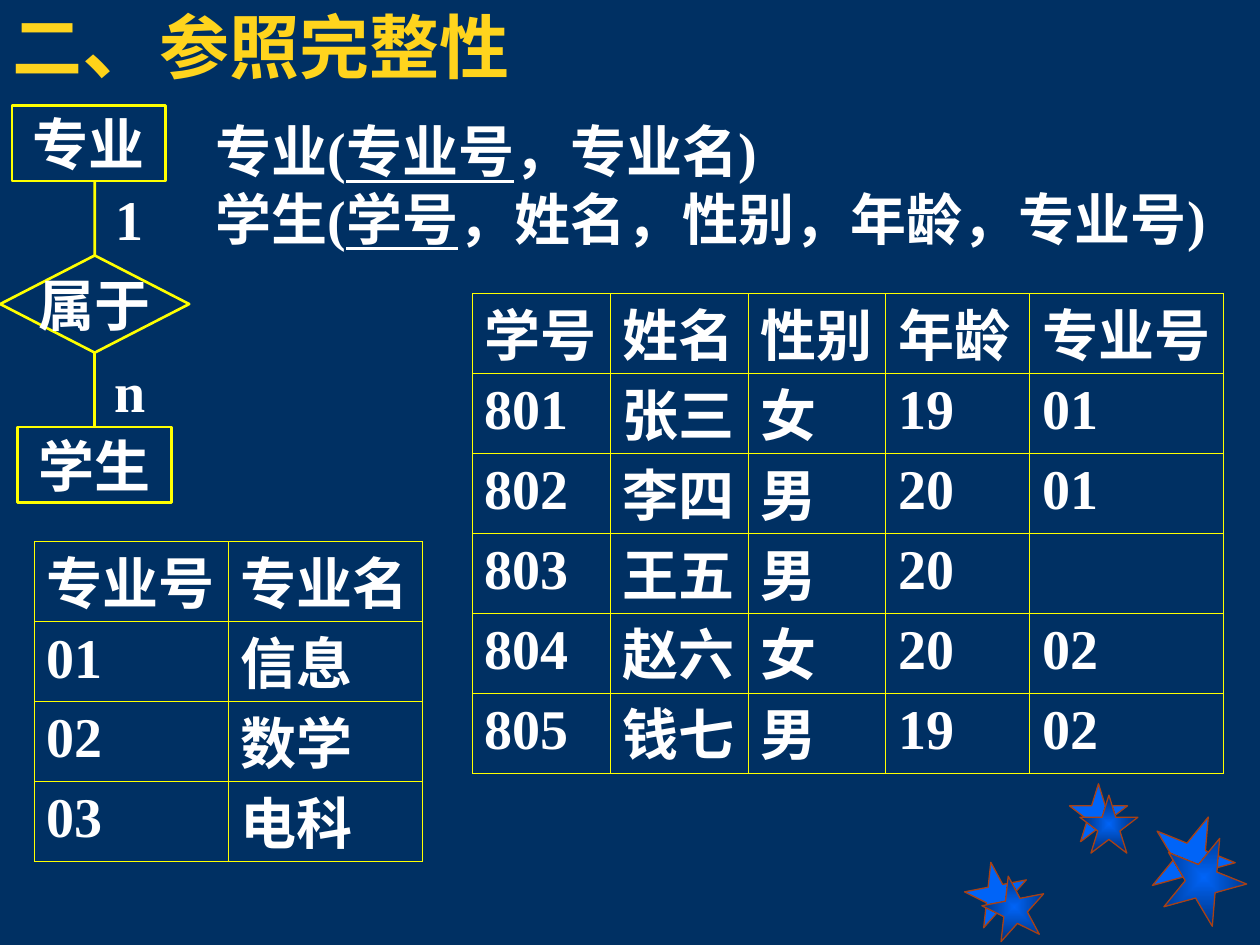
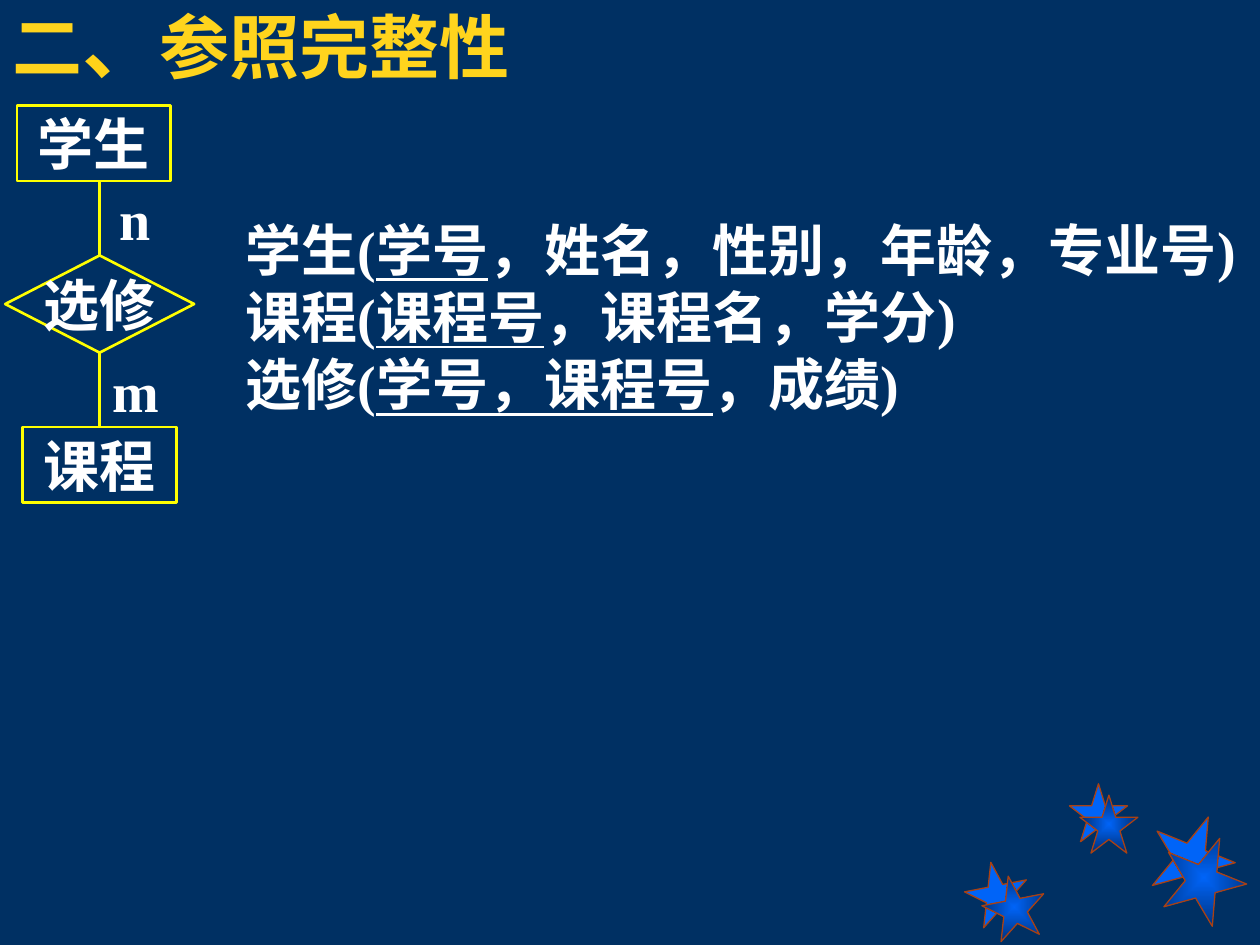
import pptx
import pptx.dml.color
import pptx.enum.shapes
import pptx.enum.text
import pptx.oxml
import pptx.oxml.ns
import pptx.util

Cm = pptx.util.Cm
Pt = pptx.util.Pt
SHAPES = pptx.enum.shapes.MSO_SHAPE
ALIGN = pptx.enum.text.PP_ALIGN
ANCHOR = pptx.enum.text.MSO_ANCHOR

COLORS = {
    "background": "003063",
    "title": "FFD41D",
    "title_mark": "FFD319",
    "text": "FFFFFF",
    "outline": "FFFF00",
    "star": "0064F8",
    "star_edge": "002E72",
    "star_line": "A94113",
}
LATIN_FONT = "Times New Roman"
ASIAN_FONT = "Noto Sans CJK SC"
LINE_PITCH = 38
NS = pptx.oxml.ns.nsdecls("a")

# left, top, size, rotation, has gradient
STARS = [
    (19.46, 17.37, 1.27, 349, False),
    (21.56, 15.8, 1.17, 0, False),
    (23.19, 16.41, 1.7, 22, False),
    (19.81, 17.65, 1.27, 349, True),
    (21.77, 16.03, 1.17, 0, True),
    (23.42, 16.84, 1.7, 22, True),
]

STUDENTS = [
    ["学号", "姓名", "性别", "年龄", "专业号"],
    ["801", "张三", "女", "19", "01"],
    ["802", "李四", "男", "20", "01"],
    ["803", "王五", "男", "20", ""],
    ["804", "赵六", "女", "20", "02"],
    ["805", "钱七", "男", "19", "02"],
]
MAJORS = [
    ["专业号", "专业名"],
    ["01", "信息"],
    ["02", "数学"],
    ["03", "电科"],
]


def rgb(name):
    return pptx.dml.color.RGBColor.from_string(COLORS[name])


def add_run(paragraph, text, size=32, color="text", underline=False):
    run = paragraph.add_run()
    run.text = text
    font = run.font
    font.name, font.size, font.bold = LATIN_FONT, Pt(size), True
    font.color.rgb = rgb(color)
    if underline:
        font.underline = True
    run._r.get_or_add_rPr().find(pptx.oxml.ns.qn("a:latin")).addnext(
        pptx.oxml.parse_xml(f'<a:ea {NS} typeface="{ASIAN_FONT}"/>'))


def write(frame, text, align=ALIGN.LEFT, pitch=None, **run_format):
    """Fill a text frame; parts between underscores are underlined."""
    for number, line in enumerate(text.split("\n")):
        paragraph = frame.add_paragraph() if number else frame.paragraphs[0]
        paragraph.alignment = align
        if pitch:
            paragraph.line_spacing = Pt(pitch)
        for index, part in enumerate(line.split("_")):
            if part:
                add_run(paragraph, part, underline=index % 2 == 1, **run_format)


class Deck:
    def __init__(self):
        self.presentation = pptx.Presentation()
        self.presentation.slide_width = Cm(25.4)
        self.presentation.slide_height = Cm(19.05)
        self.slide = None

    def start_slide(self):
        self.slide = self.presentation.slides.add_slide(
            self.presentation.slide_layouts[6])
        fill = self.slide.background.fill
        fill.solid()
        fill.fore_color.rgb = rgb("background")
        for star in STARS:
            self.star(*star)
        self.title()

    def shape(self, kind, left, top, width, height, line, weight):
        shape = self.slide.shapes.add_shape(
            kind, Cm(left), Cm(top), Cm(width), Cm(height))
        shape.shadow.inherit = False
        shape.fill.background()
        shape.line.color.rgb = rgb(line)
        shape.line.width = Pt(weight)
        return shape

    def star(self, left, top, size, rotation, has_gradient):
        star = self.shape(SHAPES.STAR_5_POINT, left, top, size, size,
                          "star_line", 0.75)
        star.rotation = rotation
        if not has_gradient:
            star.fill.solid()
            star.fill.fore_color.rgb = rgb("star")
            return
        properties = star._element.spPr
        plain = properties.find(pptx.oxml.ns.qn("a:noFill"))
        properties.replace(plain, pptx.oxml.parse_xml(
            f'<a:gradFill {NS} rotWithShape="1"><a:gsLst>'
            f'<a:gs pos="0"><a:srgbClr val="{COLORS["star"]}"/></a:gs>'
            f'<a:gs pos="100000"><a:srgbClr val="{COLORS["star_edge"]}"/></a:gs>'
            '</a:gsLst><a:path path="rect">'
            '<a:fillToRect l="50000" t="50000" r="50000" b="50000"/>'
            '</a:path></a:gradFill>'))

    def text_box(self, left, top, width, height, wrap=True, anchor=ANCHOR.TOP):
        box = self.slide.shapes.add_textbox(
            Cm(left), Cm(top), Cm(width), Cm(height))
        box.text_frame.word_wrap = wrap
        box.text_frame.vertical_anchor = anchor
        return box.text_frame

    def title(self):
        frame = self.text_box(0, 0, 21.16, 1.73, anchor=ANCHOR.MIDDLE)
        heading = frame.paragraphs[0]
        add_run(heading, "二", 40, "title")
        add_run(heading, "、", 44, "title_mark")
        add_run(heading, "参照完整性", 40, "title")

    def node(self, kind, text, left, top, width, height):
        node = self.shape(kind, left, top, width, height, "outline", 1.5)
        node.text_frame.word_wrap = False
        node.text_frame.vertical_anchor = ANCHOR.MIDDLE
        write(node.text_frame, text, align=ALIGN.CENTER)
        return node

    def link(self, axis, top, bottom, cardinality):
        """Vertical line with its cardinality on the right."""
        link = self.slide.shapes.add_connector(
            pptx.enum.shapes.MSO_CONNECTOR.STRAIGHT,
            Cm(axis), Cm(top), Cm(axis), Cm(bottom))
        link.line.color.rgb = rgb("outline")
        link.line.width = Pt(1.5)
        link._element.spPr.append(pptx.oxml.parse_xml(f"<a:effectLst {NS}/>"))
        label = self.text_box(axis, top + 0.21, 1.42, 1.09, wrap=False,
                              anchor=ANCHOR.MIDDLE)
        write(label, cardinality, align=ALIGN.CENTER)
        return link

    def relationship(self, axis, upper, upper_count, relation, lower_count, lower):
        """Entity-relationship diagram stacked along a vertical axis."""
        box_width, box_height, gap = 3.1, 1.52, 1.5
        diamond_width, diamond_height = 3.81, 1.96
        upper_top = 2.13
        link_top = upper_top + box_height
        diamond_top = link_top + gap
        diamond_bottom = diamond_top + diamond_height
        lower_top = diamond_bottom + gap

        self.node(SHAPES.RECTANGLE, upper, axis - box_width / 2 - 0.12,
                  upper_top, box_width, box_height)
        lower_entity = self.node(SHAPES.RECTANGLE, lower, axis - box_width / 2,
                                 lower_top, box_width, box_height)
        diamond = self.node(SHAPES.DIAMOND, relation, axis - diamond_width / 2,
                            diamond_top, diamond_width, diamond_height)
        upper_link = self.link(axis, link_top, diamond_top, upper_count)
        upper_link.end_connect(diamond, 0)
        lower_link = self.link(axis, diamond_bottom, lower_top, lower_count)
        lower_link.begin_connect(diamond, 2)
        lower_link.end_connect(lower_entity, 0)

    def schema(self, left, top, text):
        write(self.text_box(left, top, 20.7, 4.32), text, pitch=LINE_PITCH + 0.5)

    def table(self, left, top, widths, rows, row_height=1.61):
        table = self.slide.shapes.add_table(
            len(rows), len(widths), Cm(left), Cm(top),
            Cm(sum(widths)), Cm(row_height * len(rows))).table
        table.first_row = table.horz_banding = False
        for column, width in zip(table.columns, widths):
            column.width = Cm(width)
        for row, values in zip(table.rows, rows):
            row.height = Cm(row_height)
            for cell, value in zip(row.cells, values):
                self.cell(cell, value)

    def cell(self, cell, value):
        is_number = value.isascii()
        cell.margin_left, cell.margin_right = Cm(0.25), Cm(0.1)
        cell.margin_top = Cm(0.13 if is_number else 0.25)
        cell.margin_bottom = Cm(0)
        cell.fill.background()
        write(cell.text_frame, value, pitch=None if is_number else LINE_PITCH)
        properties = cell._tc.get_or_add_tcPr()
        for index, side in enumerate("LRTB"):
            properties.insert(index, pptx.oxml.parse_xml(
                f'<a:ln{side} {NS} w="{Pt(0.45)}"><a:solidFill>'
                f'<a:srgbClr val="{COLORS["outline"]}"/>'
                f'</a:solidFill></a:ln{side}>'))


def main():
    deck = Deck()

    deck.start_slide()
    deck.relationship(1.91, "专业", "1", "属于", "n", "学生")
    deck.schema(4.09, 2.23, "专业(_专业号_，专业名)\n"
                            "学生(_学号_，姓名，性别，年龄，专业号)")
    deck.table(9.52, 5.92, [2.78, 2.78, 2.78, 2.9, 3.91], STUDENTS)
    deck.table(0.69, 10.92, [3.91, 3.91], MAJORS)

    deck.start_slide()
    deck.relationship(2.01, "学生", "n", "选修", "m", "课程")
    deck.schema(4.7, 4.21, "学生(_学号_，姓名，性别，年龄，专业号)"
                           "课程(_课程号_，课程名，学分)\n"
                           "选修(_学号，课程号_，成绩)")

    deck.presentation.save("out.pptx")


if __name__ == "__main__":
    main()
